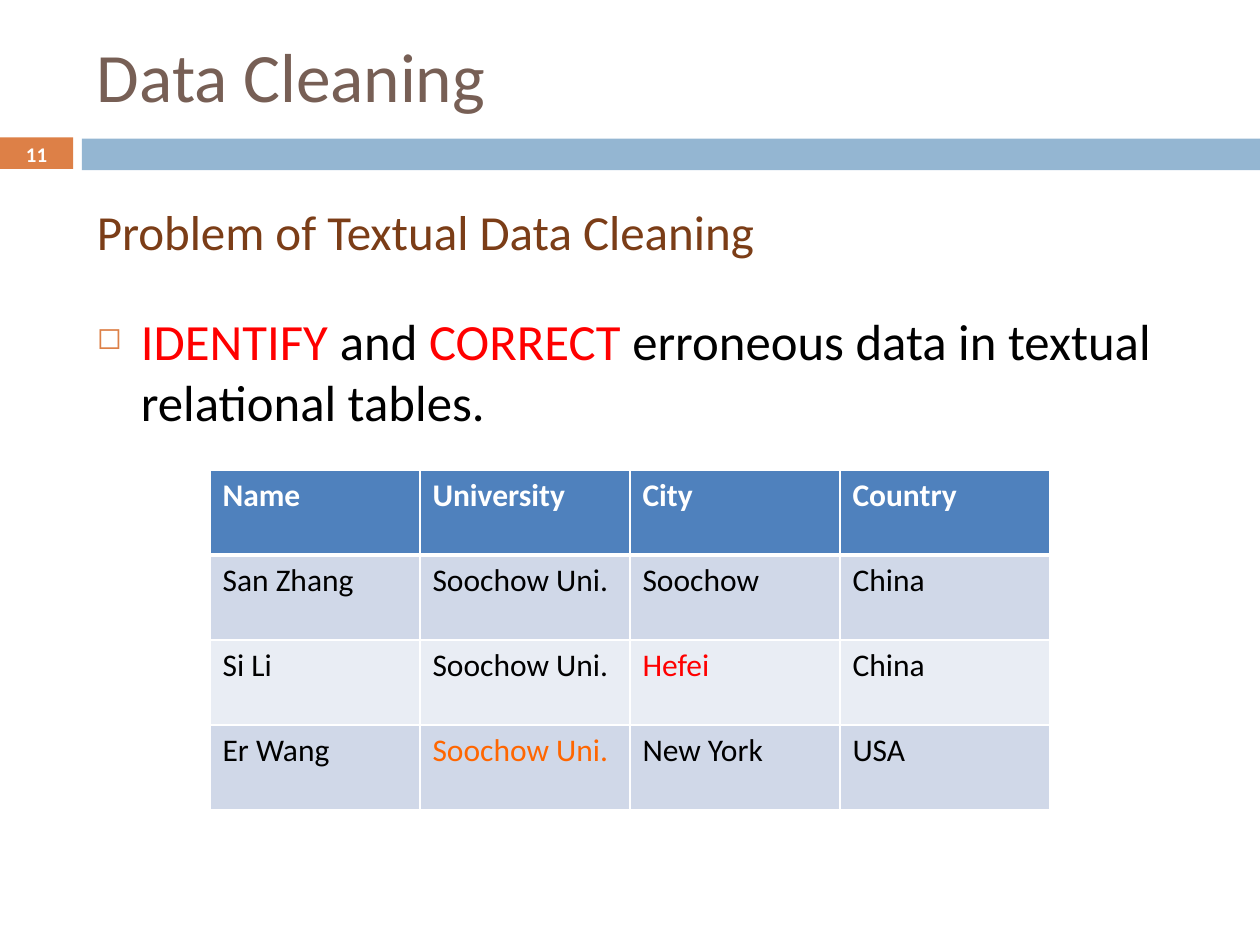
from lxml.etree import SubElement as Sub
from pptx import Presentation
from pptx.dml.color import RGBColor as RGB
from pptx.enum.shapes import MSO_SHAPE as SHAPE
from pptx.enum.text import MSO_ANCHOR as ANCHOR, PP_ALIGN as ALIGN
from pptx.oxml.ns import qn
from pptx.util import Inches, Pt

THEME = {
    "font": "Calibri",
    "color": {
        "title": "775F55", "heading": "7B3D17", "text": "000000", "light": "FFFFFF",
        "accent": "DD8047", "bar": "94B6D2", "error": "FF0000", "suspect": "FF6600",
        "header": "4F81BD", "odd": "D0D8E8", "even": "E9EDF4",
    },
    "size": {"title": 39.6, "number": 11.9, "body": 29, "heading": 28, "table": 18},
}
COLOR, SIZE = THEME["color"], THEME["size"]

prs = Presentation()
prs.slide_width, prs.slide_height = Inches(10), Inches(7.5)
slide = prs.slides.add_slide(prs.slide_layouts[6])
shapes = slide.shapes


def add_run(p, text, size, color, bold=False):
    r = p.add_run()
    r.text = text
    r.font.color.rgb = RGB.from_string(COLOR[color])
    formats = {"name": THEME["font"], "size": Pt(SIZE[size]), "bold": bold}
    for name, value in formats.items():
        setattr(r.font, name, value)


def add_text(box, runs, size, **formats):
    """Add a text box; runs are (text, color) pairs, formats go to its frame."""
    tf = shapes.add_textbox(*map(Inches, box)).text_frame
    for name, value in ({"word_wrap": True} | formats).items():
        setattr(tf, name, value)
    p = tf.paragraphs[0]
    for text, color in runs:
        add_run(p, text, size, color, bold=size == "number")
    return p


# Grid: a narrow number column, then the content column
BAR_TOP, BAR_H = 1.09, 0.25
NUMBER_W, BAR_LEFT = 0.58, 0.65
LEFT, WIDTH = 0.67, 8.92

bands = [
    (0, BAR_TOP, NUMBER_W, "accent"),
    (BAR_LEFT, BAR_TOP + 0.01, 10 - BAR_LEFT, "bar"),
]
for left, top, width, color in bands:
    sp = shapes.add_shape(SHAPE.RECTANGLE, *map(Inches, (left, top, width, BAR_H)))
    sp.shadow.inherit = False
    sp.fill.solid()
    sp.fill.fore_color.rgb = RGB.from_string(COLOR[color])
    sp.line.fill.background()

add_text((LEFT, 0.25, WIDTH, 0.69), [("Data Cleaning", "title")], "title",
         vertical_anchor=ANCHOR.MIDDLE)
number = add_text((0, BAR_TOP, NUMBER_W, 0.27), [("11", "light")], "number",
                  vertical_anchor=ANCHOR.MIDDLE, margin_top=0, margin_bottom=0)
number.alignment = ALIGN.CENTER

# Bulleted statement
statement = [
    ("IDENTIFY ", "error"), ("and ", "text"), ("CORRECT ", "error"),
    ("erroneous data in textual relational tables.", "text"),
]
p = add_text((LEFT, 2.41, WIDTH, 4.26), statement, "body")
p.space_before = Pt(7)
pPr = p._p.get_or_add_pPr()
indent = Inches(0.35)
pPr.set("marL", str(indent))
pPr.set("indent", str(-indent))
Sub(Sub(pPr, qn("a:buClr")), qn("a:srgbClr"), val=COLOR["accent"])
Sub(pPr, qn("a:buSzPct"), val="60000")
Sub(pPr, qn("a:buChar"), char="◻")

add_text((LEFT, 1.55, 5.6, 0.57), [("Problem of Textual Data Cleaning", "heading")],
         "heading", word_wrap=False)

# Table, centred across the slide
rows = [
    ["Name", "University", "City", "Country"],
    ["San Zhang", "Soochow Uni.", "Soochow", "China"],
    ["Si Li", "Soochow Uni.", "Hefei", "China"],
    ["Er Wang", "Soochow Uni.", "New York", "USA"],
]
marked = {(2, 2): "error", (3, 1): "suspect"}
table_w, table_h = prs.slide_width * 2 // 3, Inches(2.7)
table = shapes.add_table(len(rows), len(rows[0]), (prs.slide_width - table_w) // 2,
                         Inches(3.73), table_w, table_h).table

for i, row in enumerate(rows):
    fill = "header" if i == 0 else "odd" if i % 2 else "even"
    borders = {"lnL": 1, "lnR": 1, "lnT": 3 if i == 1 else 1, "lnB": 3 if i == 0 else 1}
    for j, text in enumerate(row):
        cell = table.cell(i, j)
        color = "light" if i == 0 else marked.get((i, j), "text")
        add_run(cell.text_frame.paragraphs[0], text, "table", color, bold=i == 0)
        tcPr = cell._tc.get_or_add_tcPr()
        for side, points in borders.items():
            ln = Sub(tcPr, qn(f"a:{side}"), w=str(Pt(points)))
            Sub(Sub(ln, qn("a:solidFill")), qn("a:srgbClr"), val=COLOR["light"])
        cell.fill.solid()
        cell.fill.fore_color.rgb = RGB.from_string(COLOR[fill])

prs.save("out.pptx")
